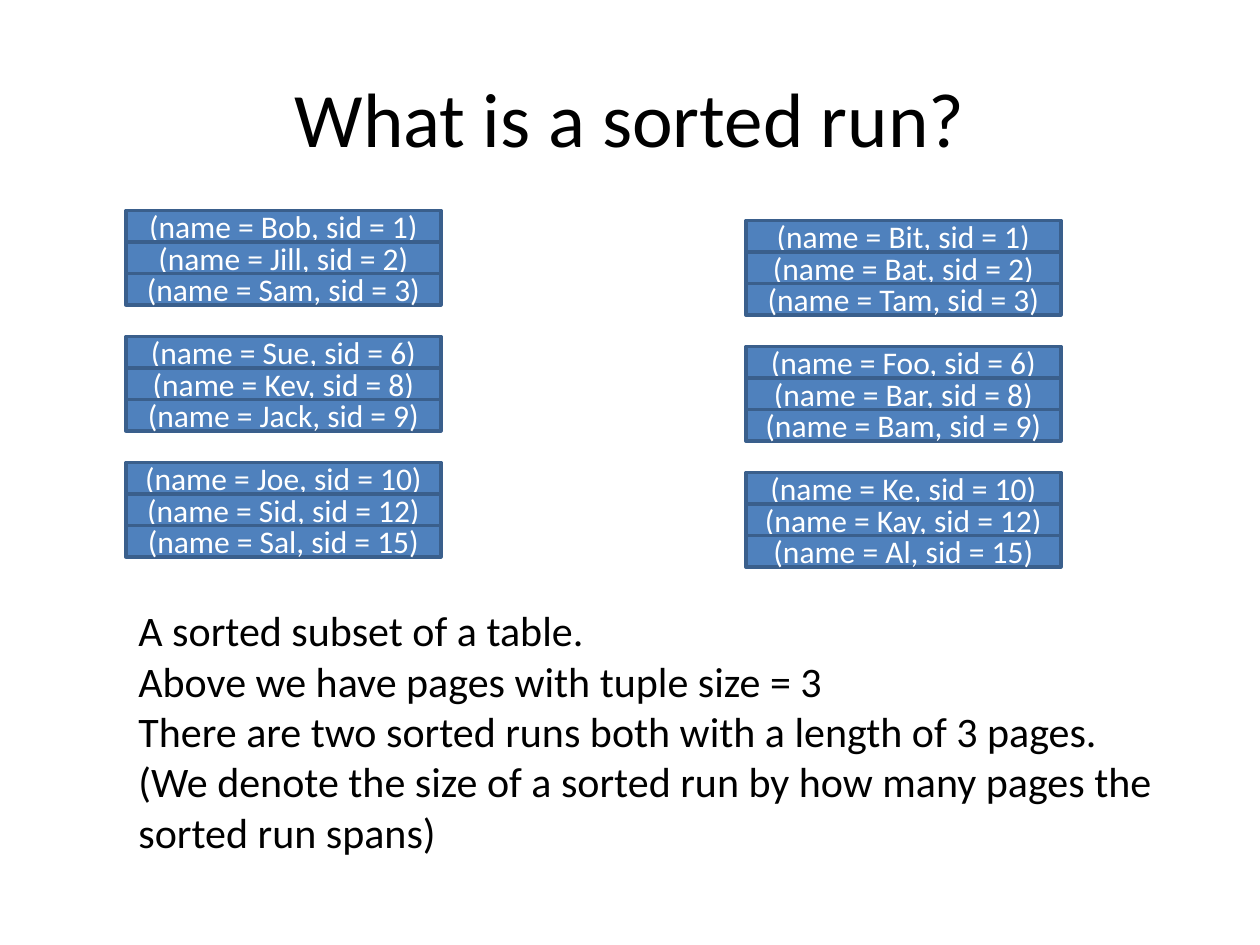
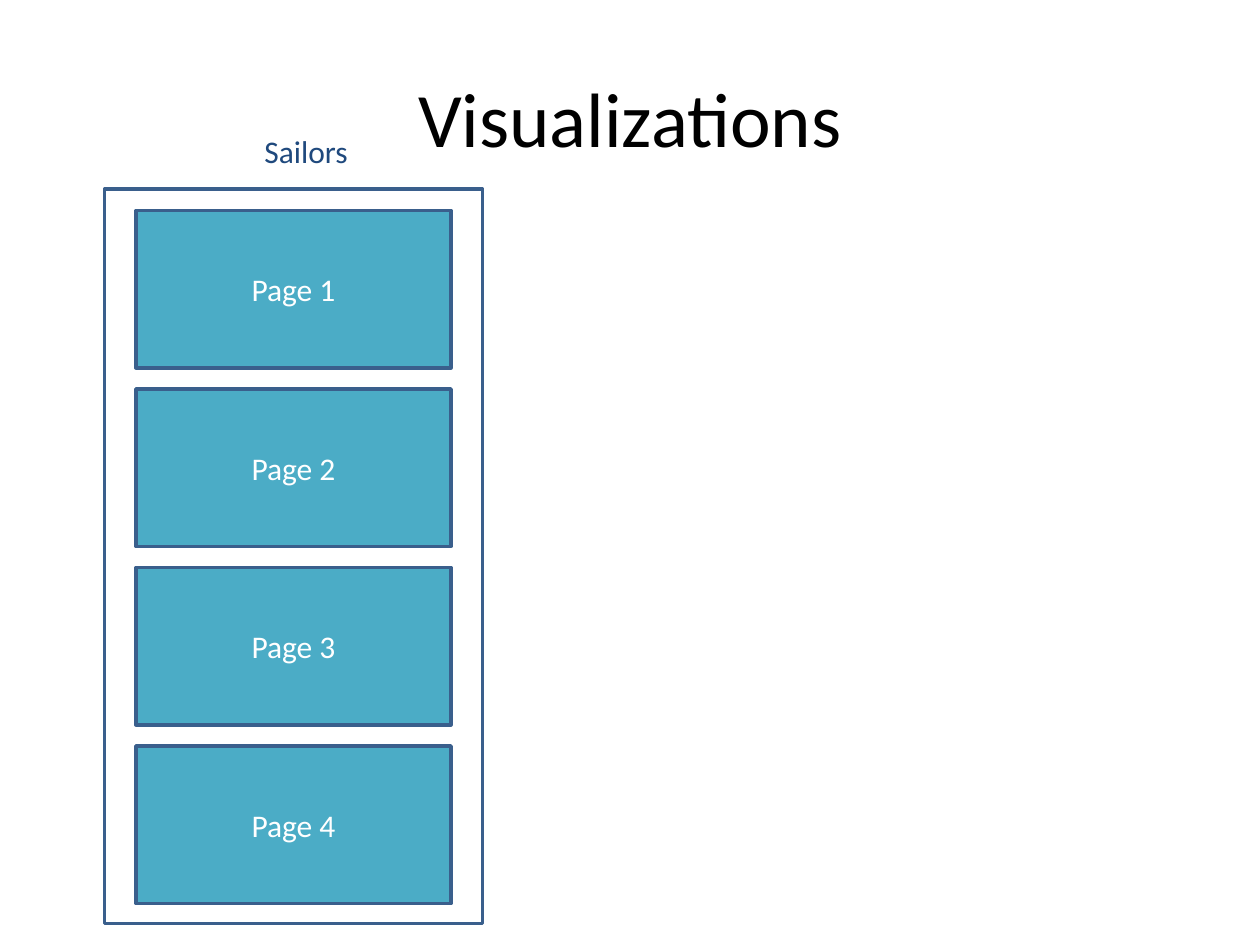
from pptx import Presentation
from pptx import util as u
from pptx.dml.color import RGBColor
from pptx.enum import shapes, text

COLORS = {
    "black": "000000",
    "white": "FFFFFF",
    "navy": "1F497D",
    "blue": "4F81BD",
    "teal": "4BACC6",
    "border": "3A5F8C",
}
FONT = "Calibri"


def write(shape, lines, size=18, color="white", align=text.PP_ALIGN.CENTER,
          anchor=text.MSO_ANCHOR.MIDDLE, wrap=True):
    """Fill a shape with one paragraph per line, all in one format."""
    frame = shape.text_frame
    frame.word_wrap = wrap
    frame.vertical_anchor = anchor
    frame.text = lines
    for para in frame.paragraphs:
        para.alignment = align
        for span in para.runs:
            span.font.name = FONT
            span.font.size = u.Pt(size)
            span.font.color.rgb = RGBColor.from_string(COLORS[color])


def add_box(page, left, top, width, height, fill=None):
    """Add a bordered rectangle, hollow when no fill is given."""
    box = page.shapes.add_shape(
        shapes.MSO_SHAPE.RECTANGLE,
        u.Inches(left), u.Inches(top), u.Inches(width), u.Inches(height))
    box.shadow.inherit = False
    if fill:
        box.fill.solid()
        box.fill.fore_color.rgb = RGBColor.from_string(COLORS[fill])
    else:
        box.fill.background()
    box.line.color.rgb = RGBColor.from_string(COLORS["border"])
    box.line.width = u.Pt(2)
    return box


deck = Presentation()
deck.slide_width, deck.slide_height = u.Inches(10), u.Inches(7.5)

# Titled slides
pages = []
for heading in ("What is a sorted run?", "Visualizations"):
    page = deck.slides.add_slide(deck.slide_layouts[5])
    title = page.shapes.title
    title.left, title.top = u.Inches(0.5), u.Inches(0.3)
    title.width, title.height = u.Inches(9), u.Inches(1.25)
    write(title, heading, size=44, color="black")
    pages.append(page)
run_page, table_page = pages

# Two sorted runs: pages of three tuples, one empty row between pages
SIDS = (1, 2, 3, 6, 8, 9, 10, 12, 15)
TUPLES_PER_PAGE = 3
ROW_HEIGHT = 0.25
RUNS = (
    (1, 1.67, "Bob Jill Sam Sue Kev Jack Joe Sid Sal"),
    (5.92, 1.75, "Bit Bat Tam Foo Bar Bam Ke Kay Al"),
)
for left, top, names in RUNS:
    for index, (name, sid) in enumerate(zip(names.split(), SIDS)):
        row = index + index // TUPLES_PER_PAGE * 2 - index // TUPLES_PER_PAGE
        box = add_box(run_page, left, top + row * ROW_HEIGHT, 2.5, ROW_HEIGHT, "blue")
        write(box, f"(name = {name}, sid = {sid})")

# Explanation below the runs
explanation = run_page.shapes.add_textbox(
    u.Inches(1), u.Inches(4.75), u.Inches(8.25), u.Inches(2.12))
write(explanation,
      "A sorted subset of a table.\n"
      "Above we have pages with tuple size = 3\n"
      "There are two sorted runs both with a length of 3 pages. "
      "(We denote the size of a sorted run by how many pages the sorted run spans)",
      size=24, color="black", align=text.PP_ALIGN.LEFT, anchor=text.MSO_ANCHOR.TOP)

# Sailors table: a frame with its label and four stacked pages
add_box(table_page, 0.83, 1.5, 3, 5.83)
label = table_page.shapes.add_textbox(
    u.Inches(2), u.Inches(1), u.Inches(0.87), u.Inches(0.4))
write(label, "Sailors", color="navy", align=text.PP_ALIGN.LEFT,
      anchor=text.MSO_ANCHOR.TOP, wrap=False)

PAGE_HEIGHT = 1.25
PAGE_GAP = 1 / 6
for index in range(4):
    top = 1.67 + index * (PAGE_HEIGHT + PAGE_GAP)
    box = add_box(table_page, 1.08, top, 2.5, PAGE_HEIGHT, "teal")
    write(box, f"Page {index + 1}")

deck.save("out.pptx")
